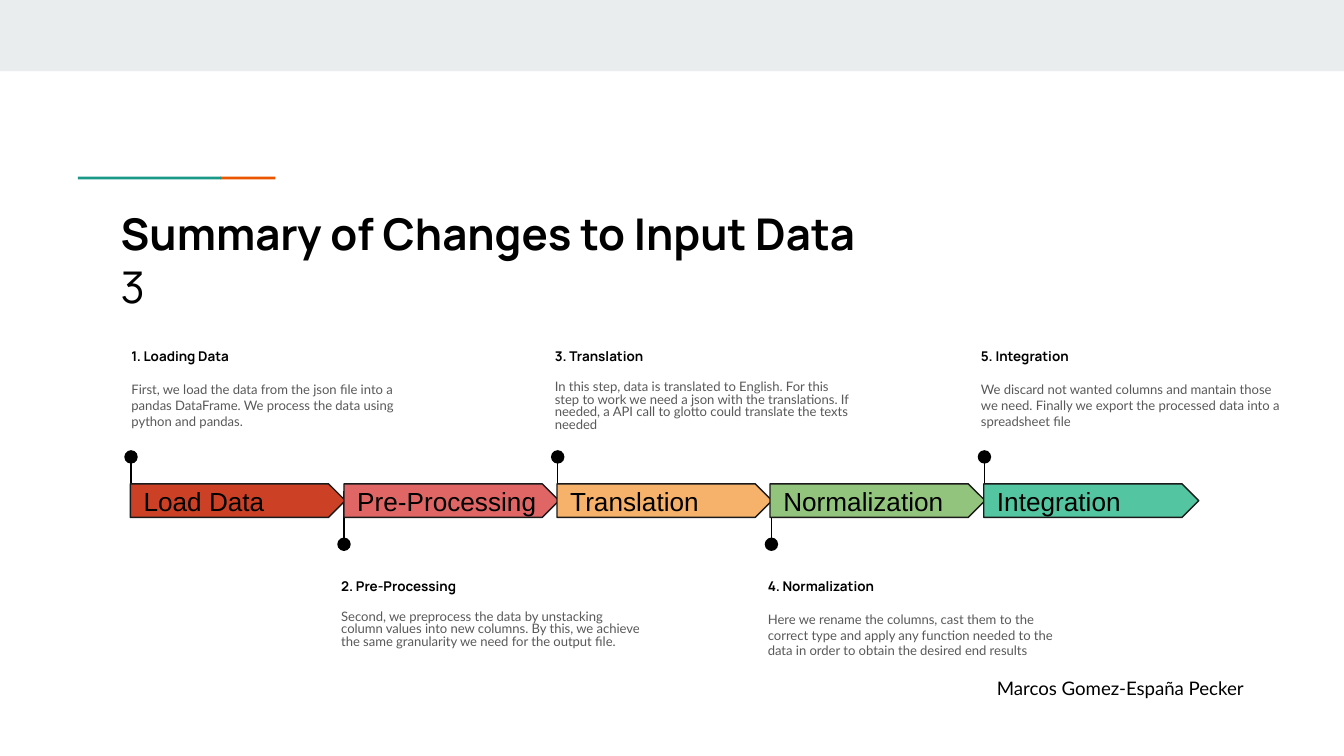
from dataclasses import dataclass

import pptx
import pptx.dml.color
import pptx.enum.shapes
import pptx.enum.text
import pptx.util
from lxml import etree

PX = 4572
SHAPE = pptx.enum.shapes.MSO_SHAPE
ANCHOR = pptx.enum.text.MSO_ANCHOR


@dataclass(frozen=True)
class Theme:
    band: str = "E9EDEE"
    teal: str = "1A9988"
    orange: str = "EB5600"
    black: str = "000000"
    outline: str = "1A1A1A"
    grey: str = "595959"
    head_font: str = "Manrope"
    body_font: str = "Lato"
    arrow_font: str = "Arial"
    title_pt: float = 23.4
    head_pt: float = 7.2
    body_pt: float = 7
    arrow_pt: float = 14
    author_pt: float = 10
    line_pt: float = 0.75


@dataclass(frozen=True)
class Step:
    name: str
    heading: str
    body: str
    color: str
    label_left: int
    spacing: float = 1.0


T = Theme()
INSET = 20
ARROW_LEFT, ARROW_TOP, ARROW_W, ARROW_H = 194, 720, 320, 50
ARROW_PITCH = 317.5
STEM_LEFT, STEM_PITCH, STEM_LENGTH = 195, 317.5, 80
DOT = 20

STEPS = [
    Step("Load Data", "1. Loading Data",
         "First, we load the data from the json file into a pandas DataFrame. "
         "We process the data using python and pandas.", "CC4125", 176),
    Step("Pre-Processing", "2. Pre-Processing",
         "Second, we preprocess the data by unstacking column values into new columns. "
         "By this, we achieve the same granularity we need for the output file.",
         "E06666", 488, 0.8),
    Step("Translation", "3. Translation",
         "In this step, data is translated to English. For this step to work we need "
         "a json with the translations. If needed, a API call to glotto could "
         "translate the texts needed", "F6B26B", 806, 0.8),
    Step("Normalization", "4. Normalization",
         "Here we rename the columns, cast them to the correct type and apply any "
         "function needed to the data in order to obtain the desired end results",
         "93C47D", 1123),
    Step("Integration", "5. Integration",
         "We discard not wanted columns and mantain those we need. Finally we export "
         "the processed data into a excel file".replace("excel", "spreadsheet"),
         "53C6A1", 1440),
]


def px(n: int) -> pptx.util.Emu:
    return pptx.util.Emu(n * PX)


def rgb(color: str) -> pptx.dml.color.RGBColor:
    return pptx.dml.color.RGBColor.from_string(color)


def write(tf, text: str, *, font: str, size: float, color: str = T.black,
          bold: bool = False, spacing: float = 1.0, after: float = 0,
          anchor=ANCHOR.TOP, right: int = INSET, bottom: int = INSET,
          new: bool = False) -> None:
    tf.word_wrap = True
    tf.vertical_anchor = anchor
    tf.margin_left = tf.margin_top = px(INSET)
    tf.margin_right, tf.margin_bottom = px(right), px(bottom)
    p = tf.add_paragraph() if new else tf.paragraphs[0]
    p.alignment = pptx.enum.text.PP_ALIGN.LEFT
    p.line_spacing = spacing
    p.space_after = pptx.util.Pt(after)
    r = p.add_run()
    r.text = text
    r.font.name = font
    r.font.size = pptx.util.Pt(size)
    r.font.bold = bold
    r.font.color.rgb = rgb(color)


def add_box(s, x: int, y: int, w: int, h: int):
    return s.shapes.add_textbox(px(x), px(y), px(w), px(h)).text_frame


def add_shape(s, kind, x: int, y: int, w: int, h: int, fill: str, line: str = ""):
    sp = s.shapes.add_shape(kind, px(x), px(y), px(w), px(h))
    sp.shadow.inherit = False
    sp.fill.solid()
    sp.fill.fore_color.rgb = rgb(fill)
    if line:
        sp.line.color.rgb = rgb(line)
        sp.line.width = pptx.util.Pt(T.line_pt)
    else:
        sp.line.fill.background()
    return sp


def add_label(s, step: Step, top: int) -> None:
    write(add_box(s, step.label_left, top, 484, 50), step.heading,
          font=T.head_font, size=T.head_pt, bold=True, after=16, bottom=0)
    write(add_box(s, step.label_left, top + 50, 484, 120), step.body,
          font=T.body_font, size=T.body_pt, color=T.grey,
          spacing=step.spacing, after=12)


def add_pin(s, x: int, start: int, end: int, dot_top: int) -> None:
    c = s.shapes.add_connector(pptx.enum.shapes.MSO_CONNECTOR.STRAIGHT,
                               px(x), px(start), px(x), px(end))
    c.line.color.rgb = rgb(T.black)
    c.line.width = pptx.util.Pt(T.line_pt)
    etree.SubElement(c._element.spPr, pptx.oxml.ns.qn("a:effectLst"))
    add_shape(s, SHAPE.OVAL, x - DOT // 2, dot_top, DOT, DOT, T.black)


def add_arrow(s, step: Step, x: int) -> None:
    sp = add_shape(s, SHAPE.PENTAGON, x, ARROW_TOP, ARROW_W, ARROW_H,
                   step.color, T.outline)
    write(sp.text_frame, step.name, font=T.arrow_font, size=T.arrow_pt,
          anchor=ANCHOR.MIDDLE, right=0)


def main() -> None:
    prs = pptx.Presentation()
    prs.slide_width, prs.slide_height = px(2000), px(1125)
    s = prs.slides.add_slide(prs.slide_layouts[6])

    add_shape(s, SHAPE.RECTANGLE, 0, 0, 2000, 106, T.band)
    add_shape(s, SHAPE.RECTANGLE, 328, 263, 82, 4, T.orange)
    add_shape(s, SHAPE.RECTANGLE, 116, 263, 213, 4, T.teal)

    tf = add_box(s, 160, 288, 1682, 118)
    write(tf, "Summary of Changes to Input Data", font=T.head_font,
          size=T.title_pt, bold=True)
    write(tf, "3", font=T.head_font, size=T.title_pt, new=True)

    for i, step in enumerate(STEPS):
        above = i % 2 == 0
        add_label(s, step, 498 if above else 840)
        x = round(STEM_LEFT + i * STEM_PITCH)
        if above:
            add_pin(s, x, 680, 680 + STEM_LENGTH, 670)
        else:
            add_pin(s, x, 810, 810 - STEM_LENGTH, 800)

    for i, step in enumerate(STEPS):
        add_arrow(s, step, round(ARROW_LEFT + i * ARROW_PITCH))

    write(add_box(s, 1464, 990, 420, 74), "Marcos Gomez-España Pecker",
          font=T.body_font, size=T.author_pt)
    prs.save("out.pptx")


if __name__ == "__main__":
    main()
